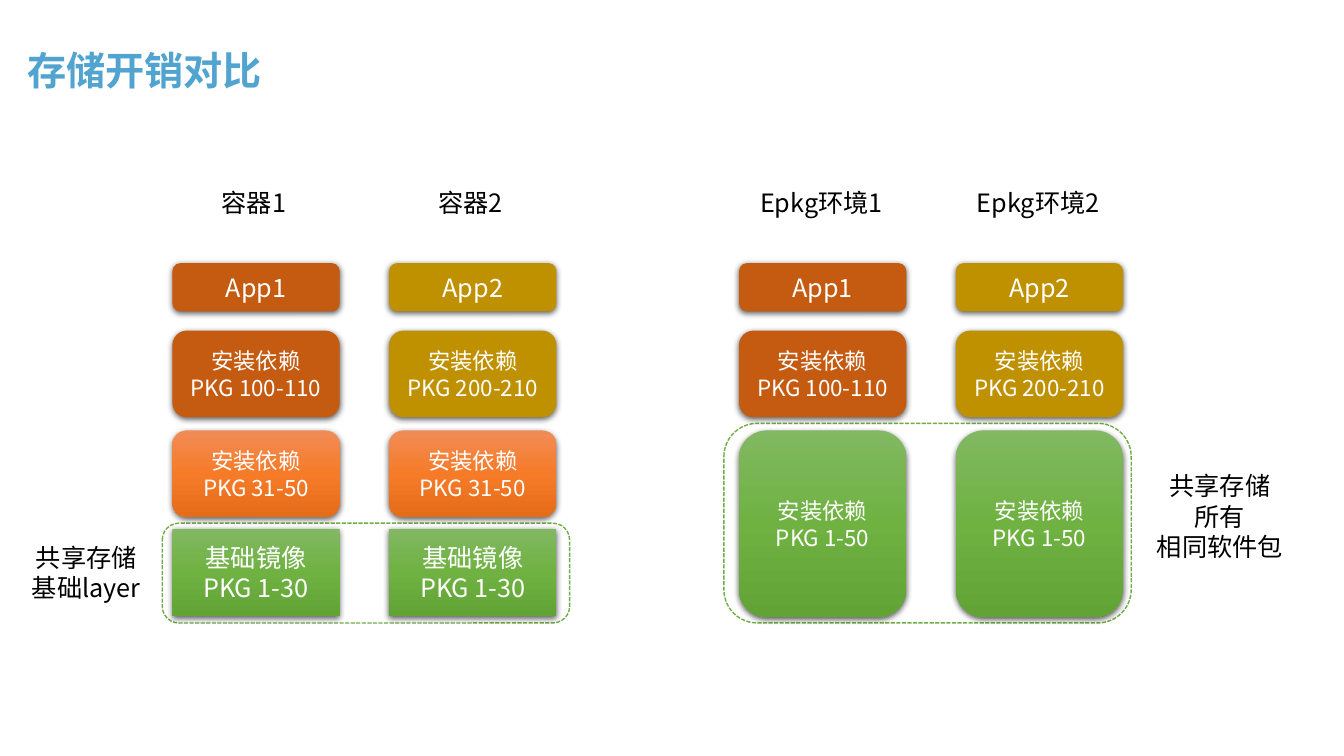
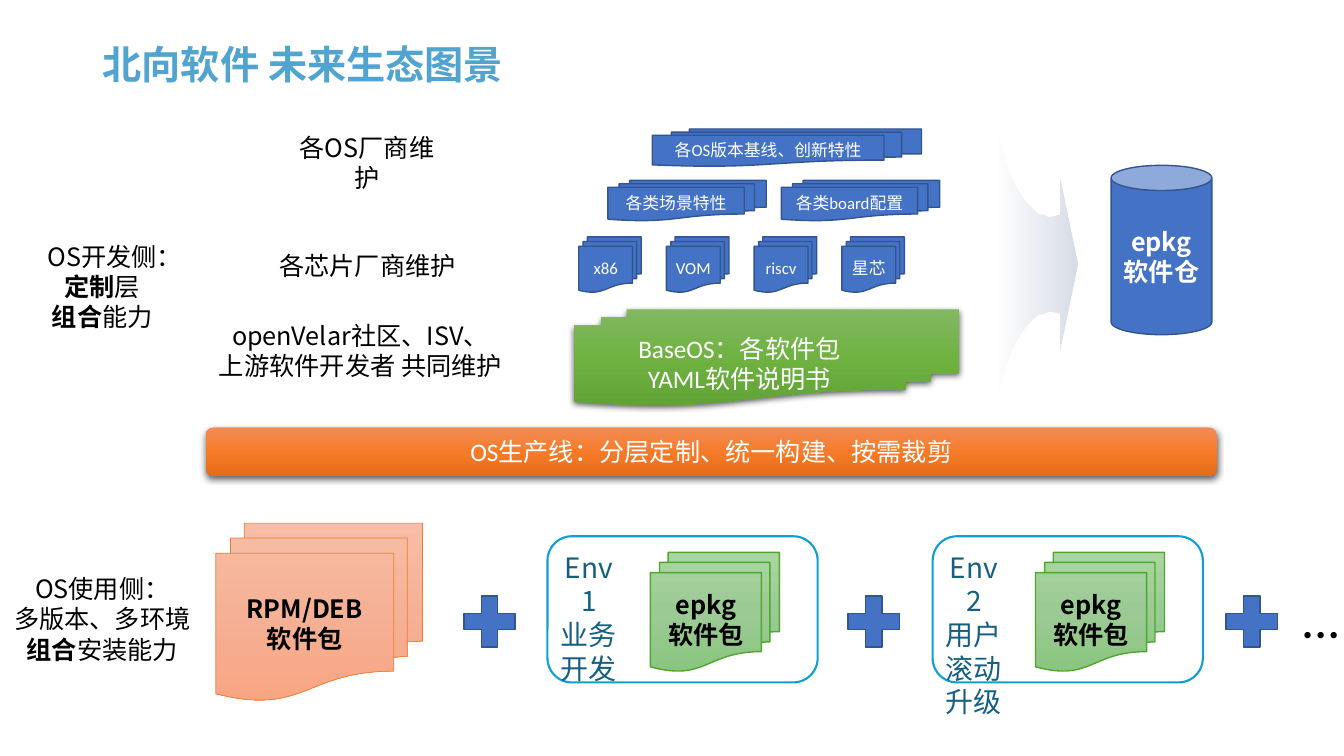
from dataclasses import dataclass

from pptx import Presentation
from pptx.dml.color import RGBColor
from pptx.enum.dml import MSO_LINE
from pptx.enum.shapes import MSO_SHAPE
from pptx.enum.text import MSO_ANCHOR, PP_ALIGN
from pptx.oxml import parse_xml
from pptx.oxml.ns import nsdecls, qn
from pptx.util import Pt

PX = 9144  # EMU per px: 100 px to the inch


@dataclass(frozen=True)
class Theme:
    font: str = "Noto Sans CJK SC"
    latin_font: str = "Calibri"
    title: str = "51A4CF"
    black: str = "000000"
    white: str = "FFFFFF"
    rust: str = "C55A11"
    gold: str = "BF9000"
    blue: str = "4472C4"
    blue_edge: str = "325491"
    leaf_edge: str = "4EA72E"
    frame_green: str = "70AD47"
    environment_edge: str = "0F9ED5"
    environment_text: str = "156082"
    salmon_edge: str = "ED7D31"
    # gradient stops: position, colour, opacity in percent
    green: tuple = ((0, "81B861", 100), (50, "6FB242", 100), (100, "62A336", 100))
    orange: tuple = ((0, "F18C57", 100), (50, "F67B28", 100), (100, "E56C19", 100))
    leaf: tuple = ((0, "A8D5A0", 100), (50, "9CCA94", 100), (100, "8AC680", 100))
    salmon: tuple = ((0, "F7BDA5", 100), (50, "F5B196", 100), (100, "F8A582", 100))
    arrow: tuple = ((0, "ABB5CD", 0), (100, "ABB5CD", 48))
    title_size: int = 28
    environment_size: int = 20
    body_size: int = 18
    package_size: int = 16
    small_size: int = 12


THEME = Theme()


def paint(shape, fill, angle=270):
    """Fill with one colour, or with a tuple of gradient stops."""
    if isinstance(fill, str):
        shape.fill.solid()
        shape.fill.fore_color.rgb = RGBColor.from_string(fill)
        return
    shape.fill.gradient()
    shape.fill.gradient_angle = angle
    stops = shape._element.spPr.find(qn("a:gradFill")).find(qn("a:gsLst"))
    for stop in list(stops):
        stops.remove(stop)
    for position, colour, opacity in fill:
        stops.append(parse_xml(
            f'<a:gs {nsdecls("a")} pos="{position * 1000}"><a:srgbClr val="{colour}">'
            f'<a:alpha val="{opacity * 1000}"/></a:srgbClr></a:gs>'))


def add_item(slide, box, text="", kind=None, fill=None, edge=None, edge_width=1,
             shadow=False, size=THEME.body_size, colour=THEME.black,
             font=THEME.font, bold=False, align=PP_ALIGN.CENTER):
    """Add a preset shape, or a text box without kind; 'a|b' makes a bold."""
    place = [value * PX for value in box]
    if kind is None:
        shape = slide.shapes.add_textbox(*place)
    else:
        shape = slide.shapes.add_shape(kind, *place)
        shape.shadow.inherit = False
        paint(shape, fill)
        if edge:
            shape.line.color.rgb = RGBColor.from_string(edge)
            shape.line.width = Pt(edge_width)
        else:
            shape.line.fill.background()
        if shadow:
            shape._element.spPr.find(qn("a:effectLst")).append(parse_xml(
                f'<a:outerShdw {nsdecls("a")} blurRad="57150" dist="19050" dir="5400000" '
                'algn="ctr" rotWithShape="0"><a:srgbClr val="000000">'
                '<a:alpha val="63000"/></a:srgbClr></a:outerShdw>'))
    frame = shape.text_frame
    frame.word_wrap = True
    if kind is not None:
        frame.vertical_anchor = MSO_ANCHOR.MIDDLE
        frame.margin_left = frame.margin_right = 0
        frame.margin_top = frame.margin_bottom = 0
    if not text:
        return shape
    frame.text = text
    for paragraph in frame.paragraphs:
        paragraph.alignment = align
        strong, bar, rest = paragraph.text.partition("|")
        if bar:
            paragraph.text = strong
            paragraph.add_run().text = rest
        for index, run in enumerate(paragraph.runs):
            run.font.name = font
            run.font.size = Pt(size)
            run.font.bold = bold or (bool(bar) and index == 0)
            run.font.color.rgb = RGBColor.from_string(colour)
            run.font._element.find(qn("a:latin")).addnext(
                parse_xml(f'<a:ea {nsdecls("a")} typeface="{THEME.font}"/>'))
    return shape


presentation = Presentation()
presentation.slide_width = 1333 * PX
presentation.slide_height = 750 * PX

slides = []
for left, top, title in ((17, 46, "存储开销对比"), (92, 40, "北向软件 未来生态图景")):
    slide = presentation.slides.add_slide(presentation.slide_layouts[6])
    title_box = add_item(slide, (left, top, 1150, 53), title, size=THEME.title_size,
                         colour=THEME.title, bold=True, align=PP_ALIGN.LEFT)
    title_box.text_frame.vertical_anchor = MSO_ANCHOR.MIDDLE
    title_box.text_frame.paragraphs[0].line_spacing = 0.9
    slides.append(slide)
storage, ecosystem = slides

# Storage cost: two container columns beside two environment columns
for box in ((718, 420, 404, 198), (161, 519, 404, 99)):
    shared_frame = add_item(storage, box, kind=MSO_SHAPE.ROUNDED_RECTANGLE,
                            fill=THEME.white, edge=THEME.frame_green)
    shared_frame.line.dash_style = MSO_LINE.SQUARE_DOT

ROUND, SQUARE = MSO_SHAPE.ROUNDED_RECTANGLE, MSO_SHAPE.RECTANGLE
container_layers = (
    (427, 86, "安装依赖\nPKG 31-50", ROUND, THEME.orange, THEME.package_size),
    (525, 86, "基础镜像\nPKG 1-30", SQUARE, THEME.green, THEME.body_size),
)
environment_layers = (
    (427, 185, "安装依赖\nPKG 1-50", ROUND, THEME.green, THEME.package_size),
)
for first_left, heading, heading_inset, heading_width, shared_layers in (
        (171, "容器", 39, 85, container_layers),
        (733, "Epkg环境", 11, 145, environment_layers)):
    for number, colour in ((1, THEME.rust), (2, THEME.gold)):
        left = first_left + 215 * (number - 1)
        add_item(storage, (left + heading_inset, 181, heading_width, 40),
                 f"{heading}{number}", align=PP_ALIGN.LEFT)
        own_layers = (
            (261, 48, f"App{number}", ROUND, colour, THEME.body_size),
            (328, 86, f"安装依赖\nPKG {number}00-{number}10", ROUND, colour,
             THEME.package_size),
        )
        for top, height, text, kind, fill, size in own_layers + shared_layers:
            add_item(storage, (left, top, 166, height), text, kind, fill,
                     shadow=True, size=size, colour=THEME.white)

add_item(storage, (21, 533, 129, 71), "共享存储\n基础layer")
add_item(storage, (1137, 462, 146, 101), "共享存储\n所有\n相同软件包")

# Ecosystem: side labels and maintainers
for box, text in (
        ((25, 234, 153, 101), "OS开发侧：\n定制|层\n组合|能力"),
        ((3, 564, 197, 101), "OS使用侧：\n多版本、多环境\n组合|安装能力"),
        ((275, 126, 178, 40), "各OS厂商维护"),
        ((266, 243, 197, 40), "各芯片厂商维护"),
        ((205, 313, 305, 71), "openVelar社区、ISV、\n上游软件开发者 共同维护")):
    add_item(ecosystem, box, text)

# Layers of the development side
DOCUMENTS = MSO_SHAPE.FLOWCHART_MULTIDOCUMENT
feature_stacks = [
    ((647, 128, 267, 37), "各OS版本基线、创新特性"),
    ((603, 179, 157, 40), "各类场景特性"),
    ((775, 179, 157, 40), "各类board配置"),
]
for index, chip in enumerate(("x86", "VOM", "riscv", "星芯")):
    feature_stacks.append(((574 + 87 * index, 235, 62, 55), chip))
for box, text in feature_stacks:
    add_item(ecosystem, box, text, DOCUMENTS, THEME.blue, THEME.blue_edge,
             size=THEME.small_size, colour=THEME.white, font=THEME.latin_font)

for box, text, kind, fill in (
        ((569, 307, 382, 95), "BaseOS：各软件包\nYAML软件说明书", DOCUMENTS, THEME.green),
        ((204, 424, 1003, 48), "OS生产线：分层定制、统一构建、按需裁剪",
         MSO_SHAPE.FLOWCHART_ALTERNATE_PROCESS, THEME.orange)):
    add_item(ecosystem, box, text, kind, fill, shadow=True, colour=THEME.white,
             font=THEME.latin_font)

# Converging arrow: upper outline sampled from a curve, lower outline mirrored
curve = ((990, 131), (1000, 181), (1020, 215), (1043, 215))
upper = [(988, 119)]
for step in range(17):
    t = step / 16
    weights = ((1 - t) ** 3, 3 * t * (1 - t) ** 2, 3 * t * t * (1 - t), t ** 3)
    upper.append(tuple(sum(weight * point[axis] for weight, point in zip(weights, curve))
                       for axis in (0, 1)))
upper += [(1051, 213), (1051, 176)]
tip = (1069, 262)
lower = [(x, 2 * tip[1] - y) for x, y in reversed(upper)]
builder = ecosystem.shapes.build_freeform(*upper[0], scale=PX)
builder.add_line_segments(upper[1:] + [tip] + lower, close=True)
arrow = builder.convert_to_shape()
arrow.shadow.inherit = False
arrow.line.fill.background()
paint(arrow, THEME.arrow, angle=0)

add_item(ecosystem, (1102, 164, 100, 168), "epkg\n软件仓", MSO_SHAPE.CAN, THEME.blue,
         THEME.blue_edge, colour=THEME.white, bold=True)

# Packages and environments of the user side
add_item(ecosystem, (214, 519, 205, 176), "RPM/DEB\n软件包", DOCUMENTS, THEME.salmon,
         THEME.salmon_edge, 0.5, bold=True)
for left, text in ((543, "Env1\n业务\n开发"), (925, "Env2\n用户\n滚动\n升级")):
    add_item(ecosystem, (left, 532, 268, 145), kind=ROUND, fill=THEME.white,
             edge=THEME.environment_edge, edge_width=1.5)
    add_item(ecosystem, (left + 102, 548, 128, 118), "epkg\n软件包", DOCUMENTS,
             THEME.leaf, THEME.leaf_edge, bold=True)
    add_item(ecosystem, (left + 2, 541, 78, 145), text, size=THEME.environment_size,
             colour=THEME.environment_text)
for left in (451, 832, 1207):
    add_item(ecosystem, (left, 582, 69, 69), kind=MSO_SHAPE.MATH_PLUS,
             fill=THEME.blue, edge=THEME.blue_edge)
add_item(ecosystem, (1281, 602, 52, 57), "…", size=THEME.title_size, bold=True,
         align=PP_ALIGN.LEFT)

presentation.save("out.pptx")
